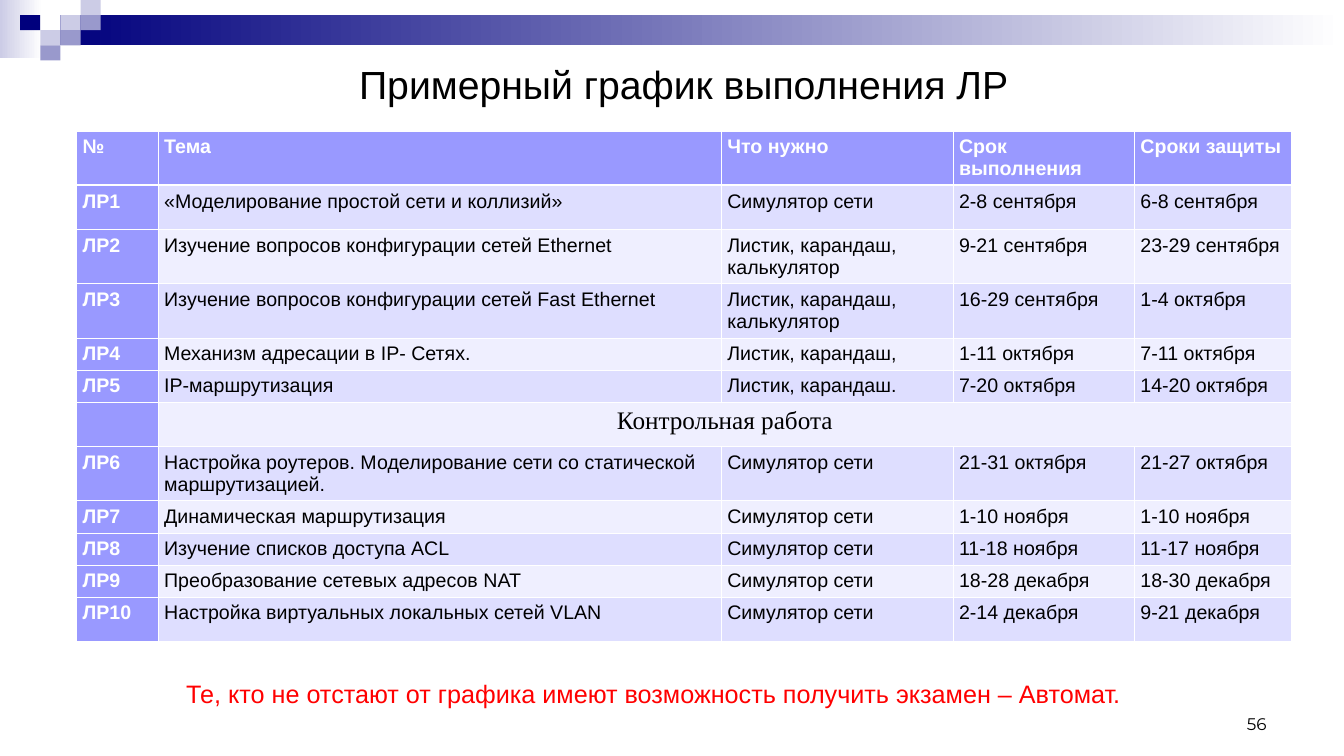
from lxml.etree import SubElement
from pptx import Presentation
from pptx.dml.color import RGBColor
from pptx.enum.shapes import MSO_SHAPE
from pptx.enum.text import MSO_ANCHOR, PP_ALIGN
from pptx.oxml.ns import qn
from pptx.util import Inches, Pt

# Colours
NAVY = RGBColor(0x00, 0x00, 0x7D)
MIST = RGBColor(0xCC, 0xCC, 0xE6)
SLATE = RGBColor(0x99, 0x99, 0xCC)
HEAD = RGBColor(0x99, 0x99, 0xFF)
ODD = RGBColor(0xDE, 0xDE, 0xFF)
EVEN = RGBColor(0xEF, 0xEF, 0xFF)
WHITE = RGBColor(0xFF, 0xFF, 0xFF)
BLACK = RGBColor(0x00, 0x00, 0x00)
RED = RGBColor(0xFF, 0x00, 0x00)

# Schedule
TOOL = "Симулятор сети"
PAPER = "Листик, карандаш, калькулятор"
COLS = [0.81, 5.59, 2.3, 1.8, 1.56]
TALL = [0.47, 0.44, 0.47, 0.47, 0.24, 0.31, 0.44, 0.47, 0.31, 0.31, 0.31, 0.44]
ROWS = [
    ["№", "Тема", "Что нужно", "Срок выполнения", "Сроки защиты"],
    ["ЛР1", "«Моделирование простой сети и коллизий»", TOOL, "2-8 сентября", "6-8 сентября"],
    ["ЛР2", "Изучение вопросов конфигурации сетей Ethernet", PAPER,
     "9-21 сентября", "23-29 сентября"],
    ["ЛР3", "Изучение вопросов конфигурации сетей Fast Ethernet", PAPER,
     "16-29 сентября", "1-4 октября"],
    ["ЛР4", "Механизм адресации в IP- Сетях.", "Листик, карандаш,",
     "1-11 октября", "7-11 октября"],
    ["ЛР5", "IP-маршрутизация", "Листик, карандаш.", "7-20 октября", "14-20 октября"],
    ["", "Контрольная работа"],
    ["ЛР6", "Настройка роутеров. Моделирование сети со статической маршрутизацией.", TOOL,
     "21-31 октября", "21-27 октября"],
    ["ЛР7", "Динамическая маршрутизация", TOOL, "1-10 ноября", "1-10 ноября"],
    ["ЛР8", "Изучение списков доступа ACL", TOOL, "11-18 ноября", "11-17 ноября"],
    ["ЛР9", "Преобразование сетевых адресов NAT", TOOL, "18-28 декабря", "18-30 декабря"],
    ["ЛР10", "Настройка виртуальных локальных сетей VLAN", TOOL,
     "2-14 декабря", "9-21 декабря"],
]


class Deck:
    def __init__(self, wide, high):
        self.show = Presentation()
        self.show.slide_width = Inches(wide)
        self.show.slide_height = Inches(high)
        self.slide = self.show.slides.add_slide(self.show.slide_layouts[5])
        self.face = "Arial"

    def label(self, frame, text, size, color=BLACK, bold=False, align=PP_ALIGN.LEFT, face=None):
        para = frame.paragraphs[0]
        para.text = text
        para.alignment = align
        font = para.font
        font.name = face or self.face
        font.size = Pt(size)
        font.bold = bold
        font.color.rgb = color

    def title(self, text, box):
        shape = self.slide.shapes.title
        shape.left, shape.top, shape.width, shape.height = map(Inches, box)
        shape.text_frame.word_wrap = True
        shape.text_frame.vertical_anchor = MSO_ANCHOR.MIDDLE
        self.label(shape.text_frame, text, 28, align=PP_ALIGN.CENTER)

    def text(self, text, box, size, anchor=MSO_ANCHOR.TOP, **style):
        frame = self.slide.shapes.add_textbox(*map(Inches, box)).text_frame
        frame.word_wrap = True
        frame.vertical_anchor = anchor
        self.label(frame, text, size, **style)

    def block(self, box, color, fade=False):
        shape = self.slide.shapes.add_shape(MSO_SHAPE.RECTANGLE, *map(Inches, box))
        shape.shadow.inherit = False
        shape.line.fill.background()
        if fade:
            shape.fill.gradient()
            shape.fill.gradient_angle = 0
            for stop, tone in zip(shape.fill.gradient_stops, (color, WHITE)):
                stop.color.rgb = tone
        else:
            shape.fill.solid()
            shape.fill.fore_color.rgb = color

    def edge(self, cell, side, width):
        line = SubElement(cell._tc.get_or_add_tcPr(), qn(f"a:ln{side}"), w=str(Pt(width)))
        fill = SubElement(line, qn("a:solidFill"))
        SubElement(fill, qn("a:srgbClr"), val=str(WHITE))

    def cell(self, cell, row, col):
        cell.margin_left = cell.margin_right = Inches(0.06)
        for side in "LRTB":
            thick = (row, side) in ((0, "B"), (1, "T"))
            self.edge(cell, side, 1.47 if thick else 0.45)
        cell.fill.solid()
        lead = row == 0 or col == 0
        cell.fill.fore_color.rgb = HEAD if lead else ODD if row % 2 else EVEN
        return lead

    def table(self, rows, left, top):
        shape = self.slide.shapes.add_table(
            len(rows), len(COLS), Inches(left), Inches(top),
            Inches(sum(COLS)), Inches(sum(TALL)))
        grid = shape.table
        grid.horz_banding = False
        for col, width in zip(grid.columns, COLS):
            col.width = Inches(width)
        for row, height in zip(grid.rows, TALL):
            row.height = Inches(height)
        for r, words in enumerate(rows):
            exam = len(words) < len(COLS)
            for c in range(len(COLS)):
                cell = grid.cell(r, c)
                lead = self.cell(cell, r, c)
                if c >= len(words):
                    continue
                if exam and c:
                    self.label(cell.text_frame, words[c], 18,
                               align=PP_ALIGN.CENTER, face="Times New Roman")
                else:
                    self.label(cell.text_frame, words[c], 14, WHITE if lead else BLACK, lead)
            if exam:
                grid.cell(r, 1).merge(grid.cell(r, len(COLS) - 1))


def main():
    deck = Deck(13.34, 7.5)

    # Top band and checker squares
    deck.block((0, 0, 0.42, 0.58), MIST, fade=True)
    deck.block((0.6, 0.15, 12.73, 0.3), NAVY, fade=True)
    for col, row, color in [(3, 1, MIST), (4, 0, MIST), (4, 1, SLATE), (2, 2, MIST),
                            (1, 1, NAVY), (3, 2, SLATE), (2, 3, SLATE)]:
        deck.block((col * 0.2, row * 0.15, 0.2, 0.15), color)

    # Title and schedule
    deck.title("Примерный график выполнения ЛР", (2.68, 0.53, 8.21, 0.61))
    deck.table(ROWS, 0.76, 1.3)

    # Closing note and slide number
    deck.text("Те, кто не отстают от графика имеют возможность получить экзамен – Автомат.",
              (1.75, 6.68, 9.65, 0.4), 18, color=RED)
    deck.text("56", (9.56, 6.83, 3.11, 0.5), 12, MSO_ANCHOR.BOTTOM,
              align=PP_ALIGN.RIGHT, face="Montserrat")

    deck.show.save("out.pptx")


if __name__ == "__main__":
    main()
